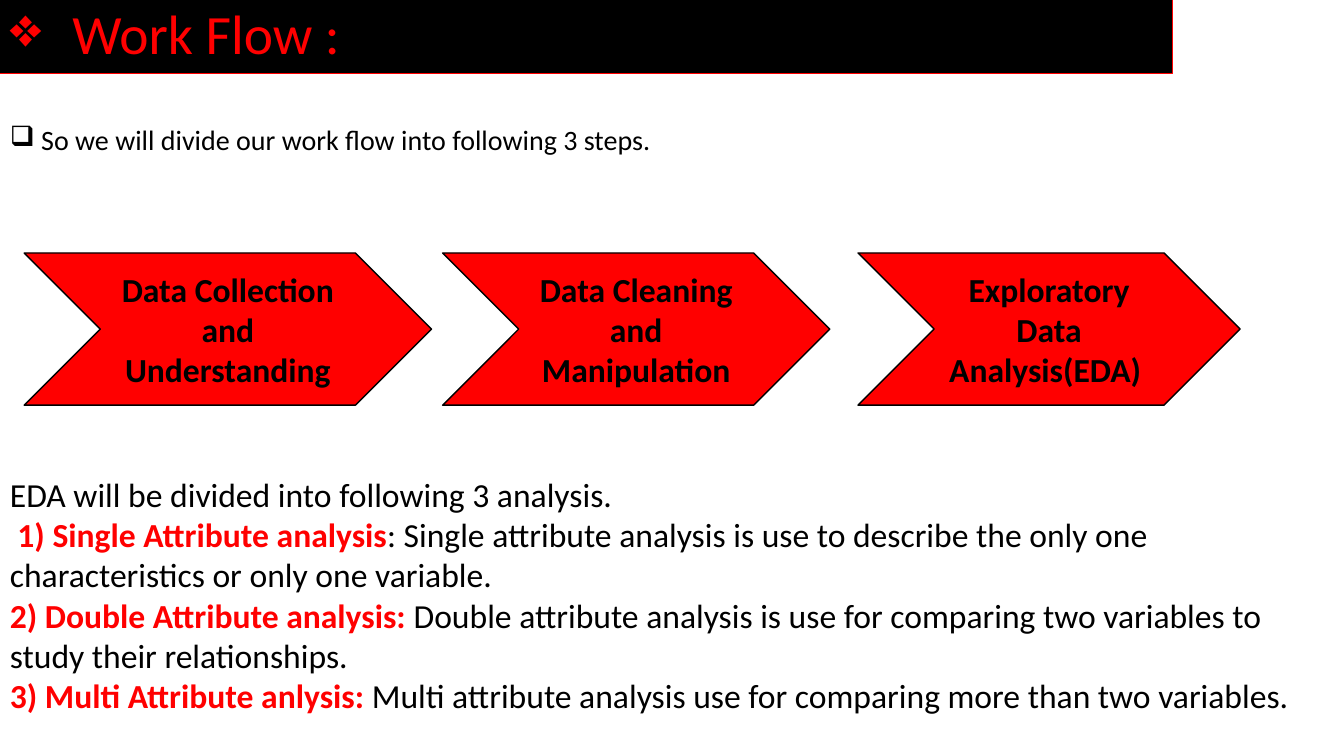
from lxml import etree
from pptx import Presentation
from pptx.dml.color import RGBColor
from pptx.enum import shapes, text
from pptx.oxml import ns
from pptx.util import Inches, Pt

RED = RGBColor(255, 0, 0)
BLACK = RGBColor(0, 0, 0)
FONT = "Calibri"

TITLE = "Work Flow :"
INTRO = "So we will divide our work flow into following 3 steps."
STEPS = [
    (0.24, 4.04, "Data Collection and Understanding"),
    (4.39, 3.84, "Data Cleaning and Manipulation"),
    (8.51, 3.79, "Exploratory Data Analysis(EDA) "),
]
NOTES = [
    [("EDA will be divided into following 3 analysis.", False)],
    [(" ", False), ("1) Single Attribute analysis", True),
     (": Single attribute analysis is use to describe the only one "
      "characteristics or only one variable.", False)],
    [("2) Double Attribute analysis: ", True),
     ("Double attribute analysis is use for comparing two variables to "
      "study their relationships.", False)],
    [("3) Multi Attribute anlysis: ", True),
     ("Multi attribute analysis use for comparing more than two variables.",
      False)],
]

deck = Presentation()
deck.slide_width, deck.slide_height = Inches(13.33), Inches(7.5)
slide = deck.slides.add_slide(deck.slide_layouts[6])


def style(para, size, color=None, bold=None):
    font = para.font
    font.name, font.size, font.bold = FONT, Pt(size), bold
    if color is not None:
        font.color.rgb = color


def bullet(para, mark, indent):
    props = para._p.get_or_add_pPr()
    props.set("marL", str(Inches(indent)))
    props.set("indent", str(-Inches(indent)))
    item = etree.Element(ns.qn("a:buChar"), char=mark)
    props.insert_element_before(item, "a:tabLst", "a:defRPr", "a:extLst")


def block(kind, box, fill, line, width):
    shape = slide.shapes.add_shape(kind, *map(Inches, box))
    shape.shadow.inherit = False
    shape.fill.solid()
    shape.fill.fore_color.rgb = fill
    shape.line.color.rgb = line
    shape.line.width = Pt(width)
    shape.text_frame.word_wrap = True
    shape.text_frame.vertical_anchor = text.MSO_ANCHOR.MIDDLE
    return shape.text_frame


def label(box):
    frame = slide.shapes.add_textbox(*map(Inches, box)).text_frame
    frame.word_wrap = True
    frame.auto_size = text.MSO_AUTO_SIZE.SHAPE_TO_FIT_TEXT
    return frame


kinds = shapes.MSO_SHAPE
para = block(kinds.RECTANGLE, (0, 0, 11.63, 0.73), BLACK, RED, 0.75).paragraphs[0]
para.text = TITLE
para.alignment = text.PP_ALIGN.LEFT
para.line_spacing = 0.9
style(para, 39.6, RED)
bullet(para, "❖", 0.62)

para = label((0, 1.17, 8.51, 0.44)).paragraphs[0]
para.text = INTRO
style(para, 20, BLACK)
bullet(para, "❑", 0.31)

for left, width, name in STEPS:
    para = block(kinds.CHEVRON, (left, 2.51, width, 1.51), RED, BLACK, 1).paragraphs[0]
    para.text = name
    para.alignment = text.PP_ALIGN.CENTER
    style(para, 24, BLACK, True)

frame = label((0, 4.65, 12.94, 2.52))
for row, parts in enumerate(NOTES):
    para = frame.add_paragraph() if row else frame.paragraphs[0]
    style(para, 24)
    for words, key in parts:
        run = para.add_run()
        run.text = words
        run.font.bold = key
        run.font.color.rgb = RED if key else BLACK

deck.save("out.pptx")
